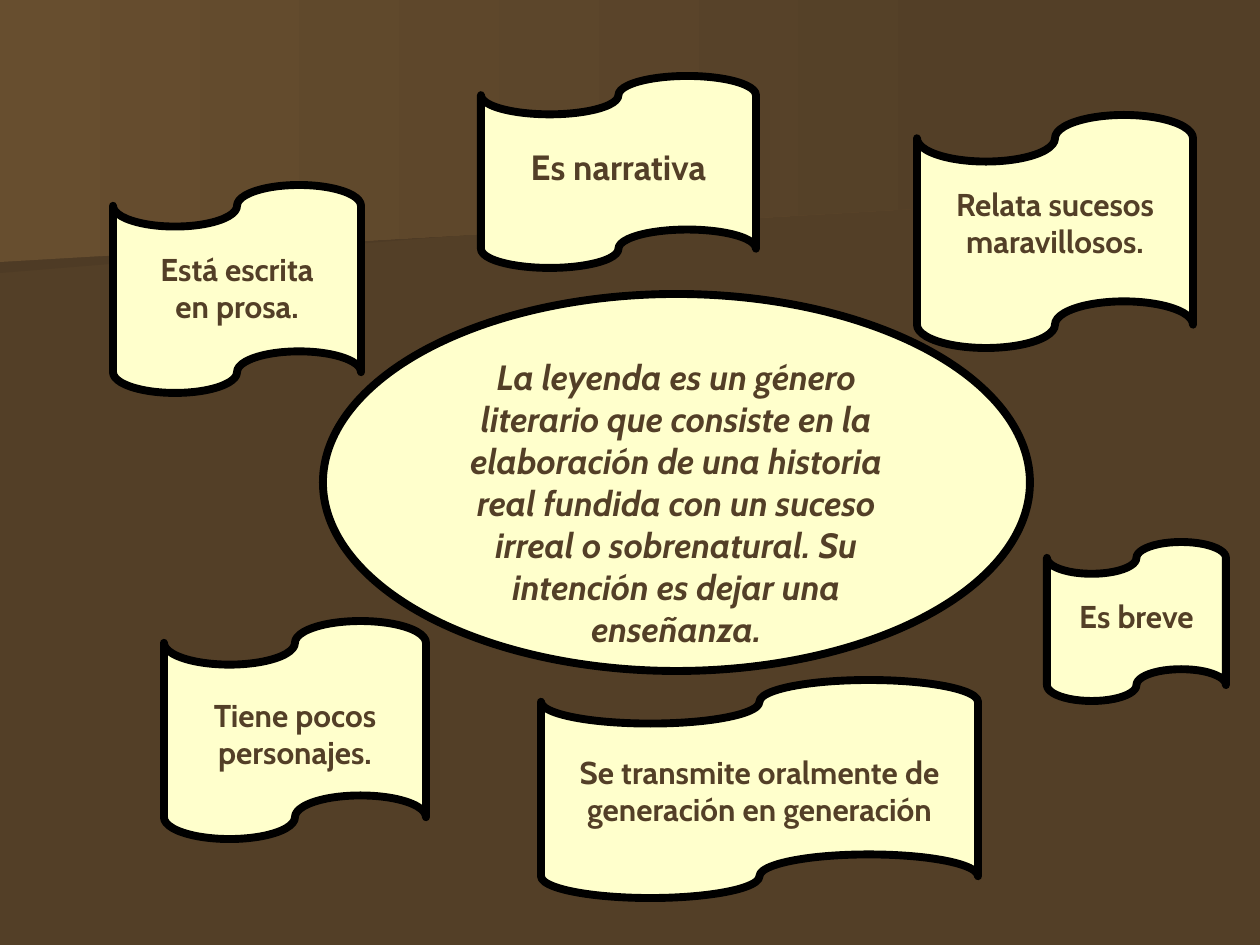
from pptx import Presentation, util as u
from pptx.dml.color import RGBColor
from pptx.enum import shapes as s, text as t

PX = u.Inches(1) / 126
BROWN, CREAM = "533F27", "FFFFCC"


def rgb(code):
    return RGBColor.from_string(code)


def add_note(kind, box, top, size, lines, italic=False):
    """Add an outlined cream shape whose text starts top px into its text area."""
    note = slide.shapes.add_shape(kind, *[round(v * PX) for v in box])
    note.shadow.inherit = False
    note.fill.solid()
    note.fill.fore_color.rgb = rgb(CREAM)
    note.line.color.rgb = rgb("000000")
    note.line.width = u.Pt(4.5)
    frame = note.text_frame
    frame.word_wrap = True
    frame.vertical_anchor = t.MSO_ANCHOR.TOP
    frame.margin_top = round(top * PX)
    frame.text = lines
    for par in frame.paragraphs:
        par.alignment = t.PP_ALIGN.CENTER
        font = par.font
        font.name, font.size = "Cabin", u.Pt(size)
        font.bold, font.italic = True, italic
        font.color.rgb = rgb(BROWN)


prs = Presentation()
prs.slide_width, prs.slide_height = u.Inches(10), u.Inches(7.5)
slide = prs.slides.add_slide(prs.slide_layouts[6])
slide.background.fill.solid()
slide.background.fill.fore_color.rgb = rgb(BROWN)

# Backdrop: a dark edge below a lighter wedge, both fading into the ground
wedges = [
    ("4E3B25", [(980, 193), (0, 273), (0, 127), (982, 127), (980, 161)]),
    ("674E2F", [(998, 204), (0, 262), (0, 0), (998, 0)]),
]
for tint, pts in wedges:
    pen = slide.shapes.build_freeform(*pts[0], scale=PX)
    pen.add_line_segments(pts[1:], close=True)
    wedge = pen.convert_to_shape()
    wedge.shadow.inherit = False
    wedge.line.fill.background()
    wedge.fill.gradient()
    wedge.fill.gradient_angle = 0
    for stop, code in zip(wedge.fill.gradient_stops, (tint, BROWN)):
        stop.color.rgb = rgb(code)

add_note(
    s.MSO_SHAPE.OVAL, (323, 294, 707, 377), 6, 20,
    "La leyenda es un género literario que consiste en la elaboración de una "
    "historia real fundida con un suceso irreal o sobrenatural. Su intención "
    "es dejar una enseñanza.",
    italic=True,
)

# Traits around the definition: box, text start, font size, wording
traits = [
    ((113, 185, 248, 208), 23, 18, "Está escrita\nen prosa."),
    ((481, 76, 275, 192), 31, 20, "Es narrativa"),
    ((917, 115, 276, 233), 23, 18, "Relata sucesos maravillosos."),
    ((1047, 542, 179, 159), 23, 18, "Es breve"),
    ((541, 680, 437, 218), 29, 18,
     "Se transmite oralmente de generación en generación"),
    ((164, 621, 262, 218), 31, 18, "Tiene pocos personajes."),
]
for box, top, size, lines in traits:
    add_note(s.MSO_SHAPE.FLOWCHART_PUNCHED_TAPE, box, top, size, lines)

prs.save("out.pptx")
